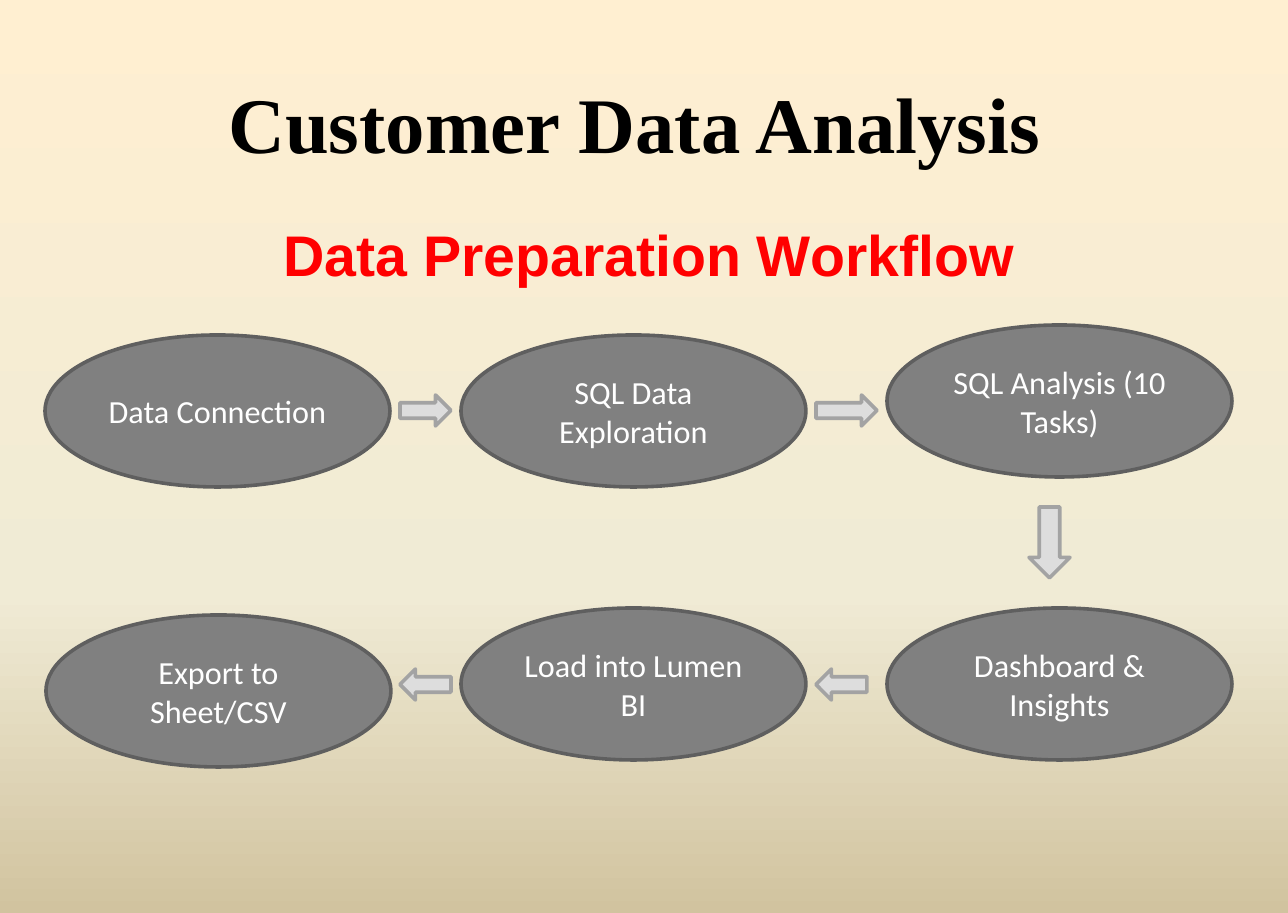
from copy import deepcopy

from pptx import Presentation
from pptx import util as u
from pptx.dml.color import RGBColor
from pptx.enum import shapes, text
from pptx.oxml.ns import qn

PX = u.Emu(7100)
SLIDE_W, SLIDE_H = 1288, 913
STEP_W, STEP_H = 345, 152
ARROW_H = 31


def px(*lengths):
    return [u.Emu(length * PX) for length in lengths]


def color(hex_code):
    return RGBColor.from_string(hex_code)


class WorkflowSlide:
    backdrop = [(0, "FFEFD1"), (0.65, "F0EBD5"), (1, "D1C39F")]
    step_colors = ("808080", "5F5F5F")
    arrow_colors = ("DDDDDD", "A3A3A3")

    def __init__(self, deck):
        self.slide = deck.slides.add_slide(deck.slide_layouts[5])

    def background(self):
        fill = self.slide.background.fill
        fill.gradient()
        fill.gradient_angle = 270
        stop_list = next(self.slide.element.iter(qn("a:gsLst")))
        stop_list.append(deepcopy(stop_list[0]))
        for stop, (position, hex_code) in zip(fill.gradient_stops, self.backdrop):
            stop.position = position
            stop.color.rgb = color(hex_code)

    def set_text(self, frame, words, font_name, size, hex_code, bold=False):
        """Fill a text frame with one centred, styled paragraph."""
        frame.word_wrap = True
        frame.text = words
        paragraph = frame.paragraphs[0]
        paragraph.alignment = text.PP_ALIGN.CENTER
        font = paragraph.font
        font.name, font.size, font.bold = font_name, u.Pt(size), bold
        font.color.rgb = color(hex_code)
        return paragraph

    def title(self, words, *box):
        heading = self.slide.shapes.title
        heading.left, heading.top, heading.width, heading.height = px(*box)
        heading.text_frame.vertical_anchor = text.MSO_ANCHOR.MIDDLE
        self.set_text(heading.text_frame, words, "Times New Roman", 44, "000000", True)

    def subtitle(self, words, *box):
        frame = self.slide.shapes.add_textbox(*px(*box)).text_frame
        paragraph = self.set_text(frame, words, "Arial", 32, "FF0000", True)
        paragraph.space_before = u.Pt(3)

    def outlined(self, kind, box, colors):
        shape = self.slide.shapes.add_shape(kind, *px(*box))
        shape.shadow.inherit = False
        shape.fill.solid()
        shape.fill.fore_color.rgb = color(colors[0])
        shape.line.color.rgb = color(colors[1])
        shape.line.width = u.Pt(2)
        return shape

    def step(self, words, left, top):
        oval = self.outlined(shapes.MSO_SHAPE.OVAL, (left, top, STEP_W, STEP_H),
                             self.step_colors)
        oval.text_frame.vertical_anchor = text.MSO_ANCHOR.MIDDLE
        self.set_text(oval.text_frame, words, "Calibri", 18, "FFFFFF")

    def arrow(self, direction, left, top, width, height=ARROW_H):
        self.outlined(direction, (left, top, width, height), self.arrow_colors)


def main():
    deck = Presentation()
    deck.slide_width, deck.slide_height = px(SLIDE_W, SLIDE_H)

    page = WorkflowSlide(deck)
    page.background()
    page.title("Customer Data Analysis ", 97, 24, 1095, 196)
    page.subtitle("Data Preparation Workflow", 198, 213, 902, 91)

    for words, left, top in [
        ("Data Connection", 45, 335),
        ("SQL Data Exploration", 461, 335),
        ("SQL Analysis (10 Tasks)", 887, 325),
        ("Dashboard & Insights", 887, 608),
        ("Load into Lumen BI", 461, 608),
        ("Export to Sheet/CSV", 46, 615),
    ]:
        page.step(words, left, top)

    kinds = shapes.MSO_SHAPE
    page.arrow(kinds.RIGHT_ARROW, 400, 395, 51)
    page.arrow(kinds.RIGHT_ARROW, 816, 395, 61)
    page.arrow(kinds.DOWN_ARROW, 1029, 507, 41, 71)
    page.arrow(kinds.LEFT_ARROW, 816, 669, 51)
    page.arrow(kinds.LEFT_ARROW, 400, 669, 51)

    deck.save("out.pptx")


if __name__ == "__main__":
    main()
